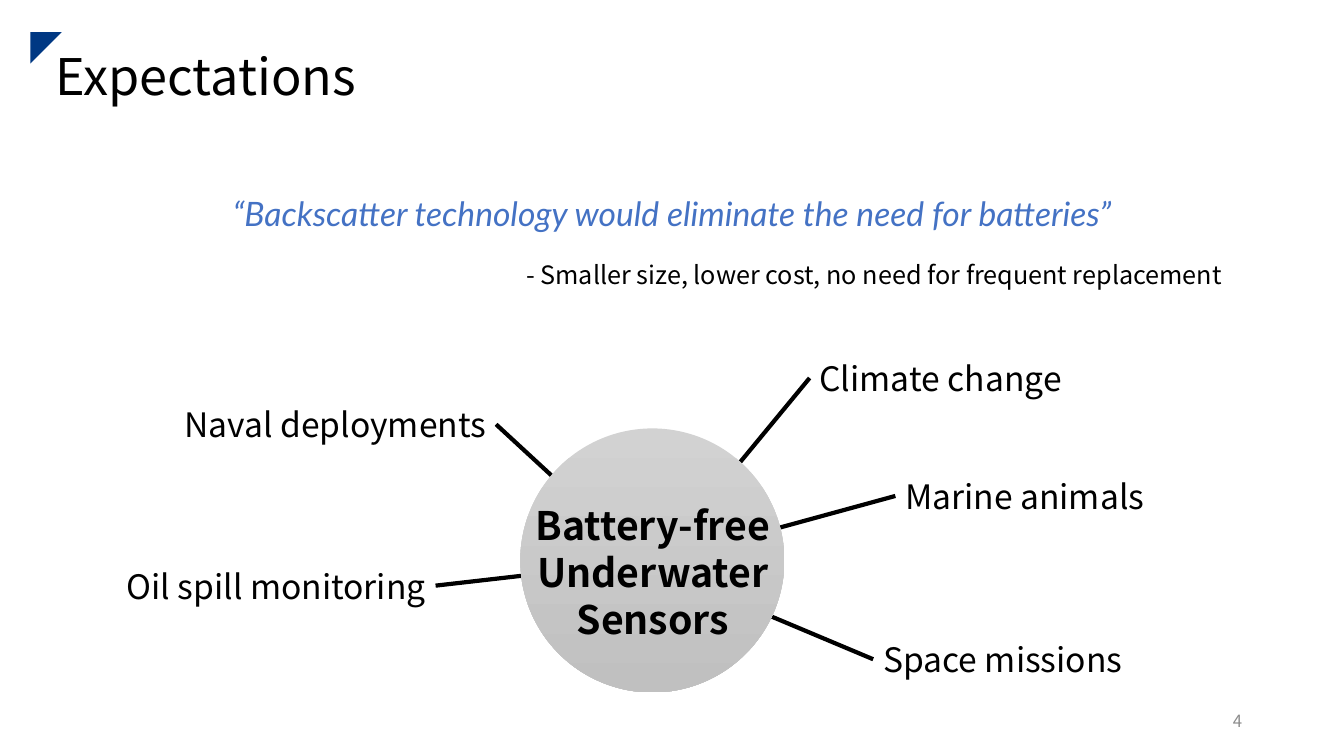
from lxml.etree import SubElement
from pptx import Presentation
from pptx.dml.color import RGBColor
from pptx.enum.shapes import MSO_CONNECTOR, MSO_SHAPE
from pptx.enum.text import MSO_ANCHOR, MSO_AUTO_SIZE, PP_ALIGN
from pptx.oxml.ns import qn
from pptx.util import Inches, Pt

WIDTH, HEIGHT = Inches(13.33), Inches(7.5)
SANS, QUOTE_FONT = "Noto Sans CJK KR", "Lato"
LABEL_WIDTH, LABEL_HEIGHT = 26.78, 6.67
LEFT_SIDE, RIGHT_SIDE = 1, 3

# Label, its left and top, the side its line leaves from, and the line's inner end
BRANCHES = [
    ("Naval deployments", 10.13, 52.8, RIGHT_SIDE, (49.59, 76.93)),
    ("Oil spill monitoring", 5.63, 74.13, RIGHT_SIDE, (48.84, 74.13)),
    ("Climate change", 60.24, 46.67, LEFT_SIDE, (48.54, 75.2)),
    ("Marine animals", 66.62, 62.27, LEFT_SIDE, (48.54, 74.4)),
    ("Space missions", 64.97, 83.87, LEFT_SIDE, (48.54, 74.93)),
]


def color(value):
    return RGBColor.from_string(value)


def across(percent):
    return round(WIDTH * percent / 100)


def down(percent):
    return round(HEIGHT * percent / 100)


def area(left, top, width, height):
    """Turn percentages of the slide's size into lengths."""
    return across(left), down(top), across(width), down(height)


def write(shape, text, size, align=PP_ALIGN.LEFT, font=SANS, ink="000000",
          bold=False, italic=False, anchor=MSO_ANCHOR.TOP, spacing=None):
    frame = shape.text_frame
    frame.text = text
    frame.word_wrap = True
    frame.auto_size = MSO_AUTO_SIZE.NONE
    frame.vertical_anchor = anchor
    for paragraph in frame.paragraphs:
        paragraph.alignment = align
        paragraph.line_spacing = spacing
        for run in paragraph.runs:
            run.font.name = font
            run.font.size = Pt(size)
            run.font.bold = bold
            run.font.italic = italic
            run.font.color.rgb = color(ink)


def add_text(slide, place, text, size, **style):
    box = slide.shapes.add_textbox(*area(*place))
    write(box, text, size, **style)
    return box


def add_title(slide, text):
    title = slide.shapes.title
    title.left, title.top, title.width, title.height = area(3.38, 5.33, 42.46, 9.47)
    write(title, text, 36)


def add_plain_shape(slide, kind, place):
    shape = slide.shapes.add_shape(kind, *area(*place))
    shape.shadow.inherit = False
    shape.line.fill.background()
    return shape


def add_corner(slide):
    corner = add_plain_shape(slide, MSO_SHAPE.RIGHT_TRIANGLE, (2.25, 4.27, 2.33, 4.13))
    corner.rotation = 90
    corner.fill.solid()
    corner.fill.fore_color.rgb = color("003883")


def add_branch(slide, text, left, top, side, inner_end):
    """Add a label and the line that runs from its side towards the hub."""
    align = PP_ALIGN.RIGHT if side == RIGHT_SIDE else PP_ALIGN.LEFT
    label = add_text(slide, (left, top, LABEL_WIDTH, LABEL_HEIGHT), text, 24, align=align)
    end_x, end_y = across(inner_end[0]), down(inner_end[1])
    line = slide.shapes.add_connector(MSO_CONNECTOR.STRAIGHT, label.left, label.top,
                                      end_x, end_y)
    line.begin_connect(label, side)
    line.line.color.rgb = color("000000")
    line.line.width = Pt(3)
    SubElement(line._element.spPr, qn("a:effectLst"))


def add_hub(slide):
    hub = add_plain_shape(slide, MSO_SHAPE.OVAL, (38.71, 56.67, 19.65, 34.93))
    hub.fill.gradient()
    hub.fill.gradient_angle = 270
    for stop, shade in zip(hub.fill.gradient_stops, ("D2D2D2", "C0C0C0")):
        stop.color.rgb = color(shade)
    add_text(slide, (35.18, 65.6, 26.78, 20.13), "Battery-free\nUnderwater\nSensors", 28,
             align=PP_ALIGN.CENTER, bold=True)


def main():
    presentation = Presentation()
    presentation.slide_width, presentation.slide_height = WIDTH, HEIGHT
    slide = presentation.slides.add_slide(presentation.slide_layouts.get_by_name("Title Only"))
    add_corner(slide)
    add_title(slide, "Expectations")
    add_text(slide, (70.67, 92.67, 22.5, 5.33), "4", 12, align=PP_ALIGN.RIGHT,
             ink="8C8C8C", anchor=MSO_ANCHOR.MIDDLE)
    for branch in BRANCHES:
        add_branch(slide, *branch)
    add_hub(slide)
    add_text(slide, (10.73, 24.8, 78.54, 6.67),
             "“Backscatter technology would eliminate the need for batteries”", 24,
             align=PP_ALIGN.CENTER, font=QUOTE_FONT, ink="4472C4", italic=True)
    add_text(slide, (38.41, 31.6, 56.49, 6.8),
             "- Smaller size, lower cost, no need for frequent replacement", 18, spacing=1.5)
    presentation.save("out.pptx")


if __name__ == "__main__":
    main()
